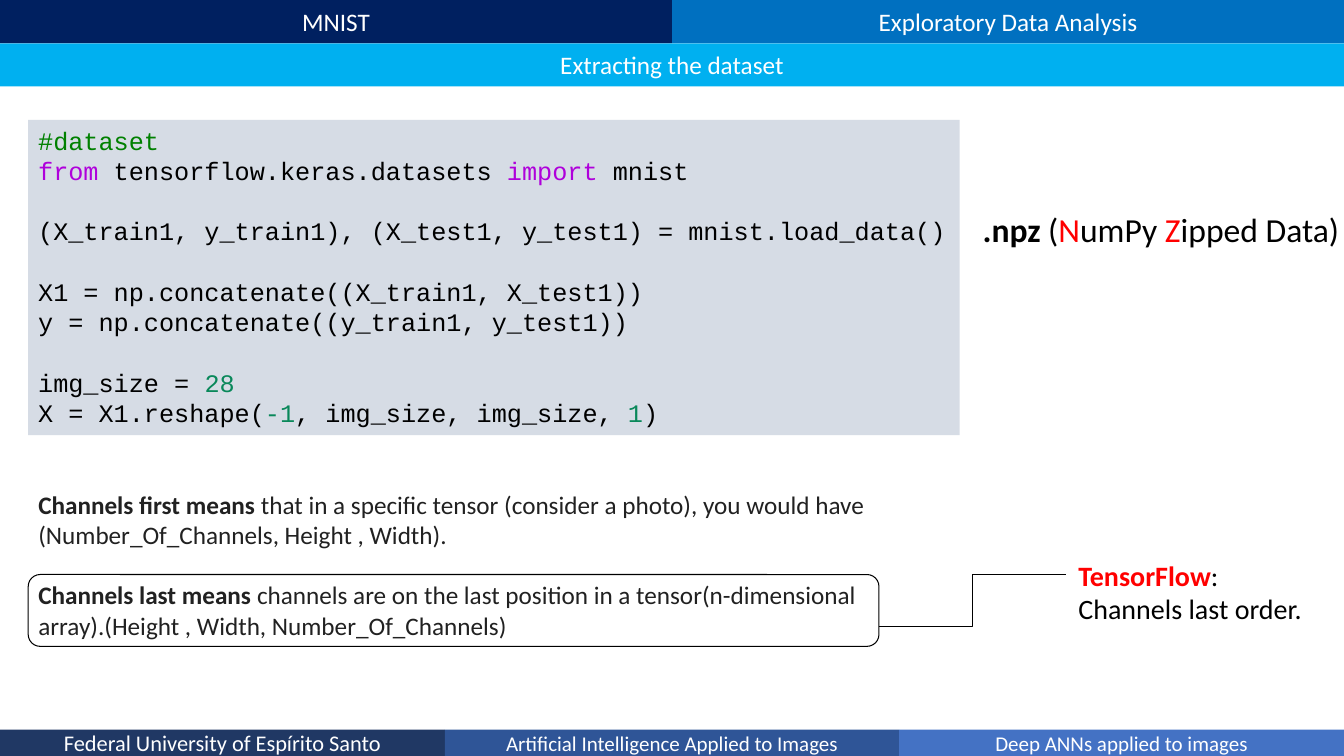
from dataclasses import dataclass

from lxml.etree import SubElement
from pptx import Presentation
from pptx.dml.color import RGBColor
from pptx.enum.shapes import MSO_CONNECTOR, MSO_SHAPE
from pptx.enum.text import MSO_ANCHOR, MSO_AUTO_SIZE, PP_ALIGN
from pptx.oxml.ns import qn
from pptx.util import Inches, Pt

WIDTH, HEIGHT = Inches(13.333), Inches(7.5)
SANS, MONO = "Calibri", "Courier New"
LINE_PITCH = 21.6

WHITE = RGBColor(0xFF, 0xFF, 0xFF)
BLACK = RGBColor(0x00, 0x00, 0x00)
CHARCOAL = RGBColor(0x21, 0x21, 0x21)
RED = RGBColor(0xFF, 0x00, 0x00)
DEEP_NAVY = RGBColor(0x00, 0x20, 0x60)
BLUE = RGBColor(0x00, 0x70, 0xC0)
SKY = RGBColor(0x00, 0xB0, 0xF0)
FOOTER_DARK = RGBColor(0x20, 0x38, 0x64)
FOOTER_MIDDLE = RGBColor(0x2F, 0x55, 0x97)
FOOTER_LIGHT = RGBColor(0x44, 0x72, 0xC4)
CODE_BACKGROUND = RGBColor(0xD6, 0xDC, 0xE5)
COMMENT = RGBColor(0x00, 0x80, 0x00)
KEYWORD = RGBColor(0xAF, 0x00, 0xDB)
NUMBER = RGBColor(0x09, 0x88, 0x5A)


@dataclass(frozen=True)
class Area:
    left: float
    top: float
    width: float
    height: float

    def lengths(self) -> tuple[int, int, int, int]:
        return (across(self.left), down(self.top),
                across(self.width), down(self.height))


@dataclass(frozen=True)
class Piece:
    text: str
    color: RGBColor = BLACK
    bold: bool = False


@dataclass(frozen=True)
class Line:
    pieces: tuple[Piece, ...]
    space_before: float = 0


@dataclass(frozen=True)
class Band:
    text: str
    area: Area
    fill: RGBColor
    size: float


BAR = 5.72
FOOTER_TOP, FOOTER_HEIGHT = 96.5, 3.5
FOOTER_SIDE = 33.1
MARGIN = 2.1

TITLE = Band("Extracting the dataset", Area(0, BAR, 100, BAR), SKY, 18)
BANDS = (
    Band("MNIST", Area(0, 0, 50, BAR), DEEP_NAVY, 18),
    Band("Exploratory Data Analysis", Area(50, 0, 50, BAR), BLUE, 18),
    Band("Federal University of Espírito Santo",
         Area(0, FOOTER_TOP, FOOTER_SIDE, FOOTER_HEIGHT), FOOTER_DARK, 16),
    Band("Artificial Intelligence Applied to Images",
         Area(FOOTER_SIDE, FOOTER_TOP, 100 - 2 * FOOTER_SIDE, FOOTER_HEIGHT),
         FOOTER_MIDDLE, 15),
    Band("Deep ANNs applied to images",
         Area(100 - FOOTER_SIDE, FOOTER_TOP, FOOTER_SIDE, FOOTER_HEIGHT),
         FOOTER_LIGHT, 15),
)
CODE = (
    Line((Piece("#dataset", COMMENT),)),
    Line((Piece("from ", KEYWORD), Piece("tensorflow.keras.datasets "),
          Piece("import ", KEYWORD), Piece("mnist"))),
    Line((Piece("(X_train1, y_train1), (X_test1, y_test1) = mnist.load_data()"),),
         LINE_PITCH),
    Line((Piece("X1 = np.concatenate((X_train1, X_test1))"),), LINE_PITCH),
    Line((Piece("y = np.concatenate((y_train1, y_test1))"),)),
    Line((Piece("img_size = "), Piece("28", NUMBER)), LINE_PITCH),
    Line((Piece("X = X1.reshape("), Piece("-1", NUMBER),
          Piece(", img_size, img_size, "), Piece("1", NUMBER), Piece(")"))),
)
CHANNELS = (
    Line((Piece("Channels first means ", CHARCOAL, True),
          Piece("that in a specific tensor (consider a photo), you would have "
                "(Number_Of_Channels, Height , Width).", CHARCOAL))),
    Line((Piece("Channels last means ", CHARCOAL, True),
          Piece("channels are on the last position in a tensor(n-dimensional "
                "array).(Height , Width, Number_Of_Channels)", CHARCOAL)),
         LINE_PITCH),
)
TENSORFLOW = (Line((Piece("TensorFlow", RED, True),
                    Piece(": Channels last order."))),)
FILE_FORMAT = (Line((Piece(".npz ", bold=True), Piece("("), Piece("N", RED),
                     Piece("umPy "), Piece("Z", RED), Piece("ipped Data)"))),)


def across(percent: float) -> int:
    return round(WIDTH * percent / 100)


def down(percent: float) -> int:
    return round(HEIGHT * percent / 100)


def write(shape, lines: tuple[Line, ...], *, size: float, font: str = SANS,
          align: PP_ALIGN = PP_ALIGN.LEFT, anchor: MSO_ANCHOR = MSO_ANCHOR.TOP,
          pitch: float | None = None) -> None:
    frame = shape.text_frame
    frame.word_wrap = True
    frame.auto_size = MSO_AUTO_SIZE.NONE
    frame.vertical_anchor = anchor
    for index, line in enumerate(lines):
        paragraph = frame.add_paragraph() if index else frame.paragraphs[0]
        paragraph.alignment = align
        paragraph.space_before = Pt(line.space_before)
        paragraph.line_spacing = Pt(pitch) if pitch else 1.0
        for piece in line.pieces:
            run = paragraph.add_run()
            run.text = piece.text
            run.font.name = font
            run.font.size = Pt(size)
            run.font.bold = piece.bold
            run.font.color.rgb = piece.color


def place(shape, area: Area) -> None:
    shape.left, shape.top, shape.width, shape.height = area.lengths()


def paint(shape, color: RGBColor) -> None:
    shape.fill.solid()
    shape.fill.fore_color.rgb = color
    shape.line.fill.background()


def add_block(slide, kind: MSO_SHAPE, area: Area):
    shape = slide.shapes.add_shape(kind, *area.lengths())
    shape.shadow.inherit = False
    return shape


def fill_band(shape, band: Band) -> None:
    paint(shape, band.fill)
    write(shape, (Line((Piece(band.text, WHITE),)),), size=band.size,
          align=PP_ALIGN.CENTER, anchor=MSO_ANCHOR.MIDDLE)


def remove_bullets(shape) -> None:
    for paragraph in shape.text_frame.paragraphs:
        properties = paragraph._p.get_or_add_pPr()
        properties.set("marL", "0")
        properties.set("indent", "0")
        SubElement(properties, qn("a:buNone"))


def add_elbow(slide, start: tuple[float, float], end: tuple[float, float]) -> None:
    connector = slide.shapes.add_connector(
        MSO_CONNECTOR.ELBOW, across(start[0]), down(start[1]),
        across(end[0]), down(end[1]))
    connector.line.color.rgb = BLACK
    connector.line.width = Pt(0.5)
    SubElement(connector._element.spPr, qn("a:effectLst"))


def main() -> None:
    presentation = Presentation()
    presentation.slide_width, presentation.slide_height = WIDTH, HEIGHT
    slide = presentation.slides.add_slide(presentation.slide_layouts[1])
    title, body = slide.shapes.title, slide.placeholders[1]

    place(title, TITLE.area)
    fill_band(title, TITLE)
    for band in BANDS:
        fill_band(add_block(slide, MSO_SHAPE.RECTANGLE, band.area), band)

    code = add_block(slide, MSO_SHAPE.RECTANGLE, Area(MARGIN, 15.87, 69.3, 41.7))
    paint(code, CODE_BACKGROUND)
    write(code, CODE, size=18, font=MONO, pitch=LINE_PITCH)

    place(body, Area(MARGIN, 64, 66.6, 21.6))
    write(body, CHANNELS, size=18, pitch=LINE_PITCH)
    remove_bullets(body)

    frame = add_block(slide, MSO_SHAPE.ROUNDED_RECTANGLE, Area(MARGIN, 76, 63.3, 9.5))
    frame.fill.background()
    frame.line.color.rgb = BLACK
    frame.line.width = Pt(0.75)
    add_elbow(slide, (65.4, 82.8), (79.35, 76))

    order = slide.shapes.add_textbox(*Area(79.5, 73.2, 18.4, 10.3).lengths())
    write(order, TENSORFLOW, size=20, align=PP_ALIGN.JUSTIFY)
    file_format = slide.shapes.add_textbox(*Area(72.38, 26.93, 28.6, 6.7).lengths())
    write(file_format, FILE_FORMAT, size=24)

    presentation.save("out.pptx")


if __name__ == "__main__":
    main()
